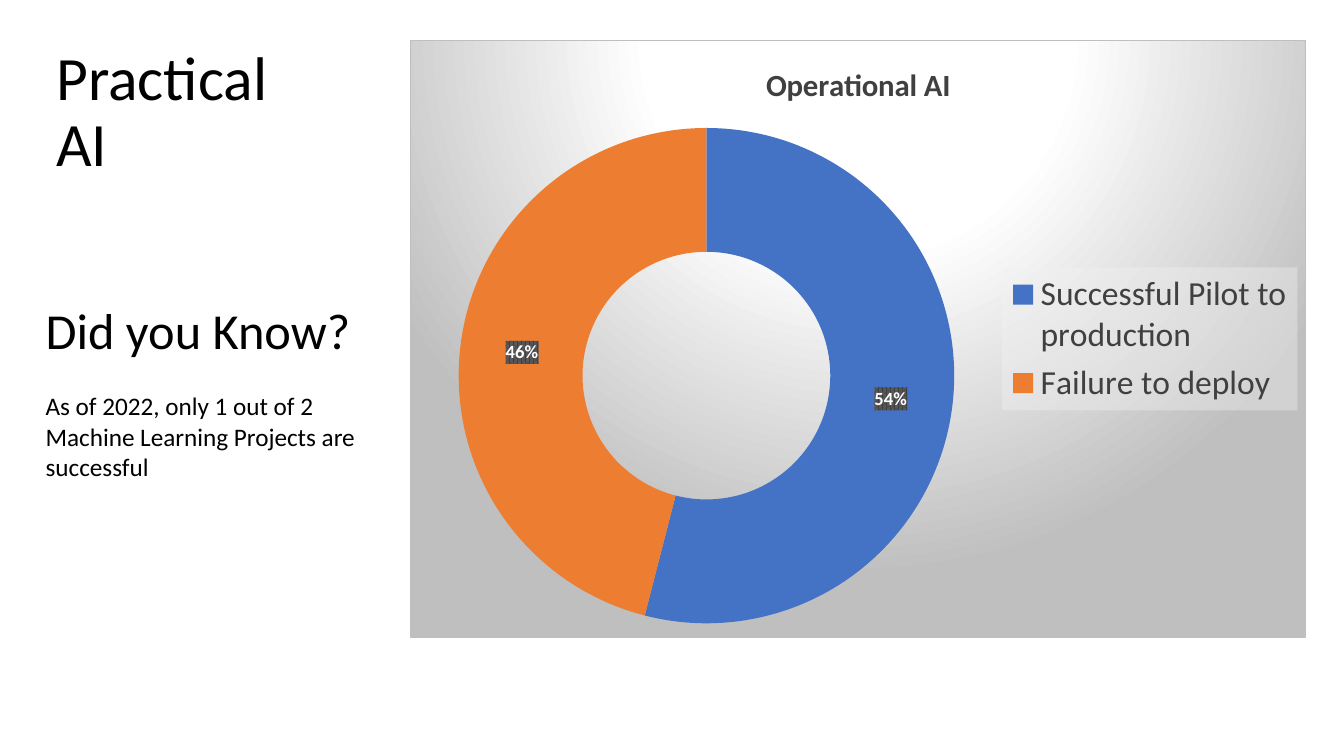
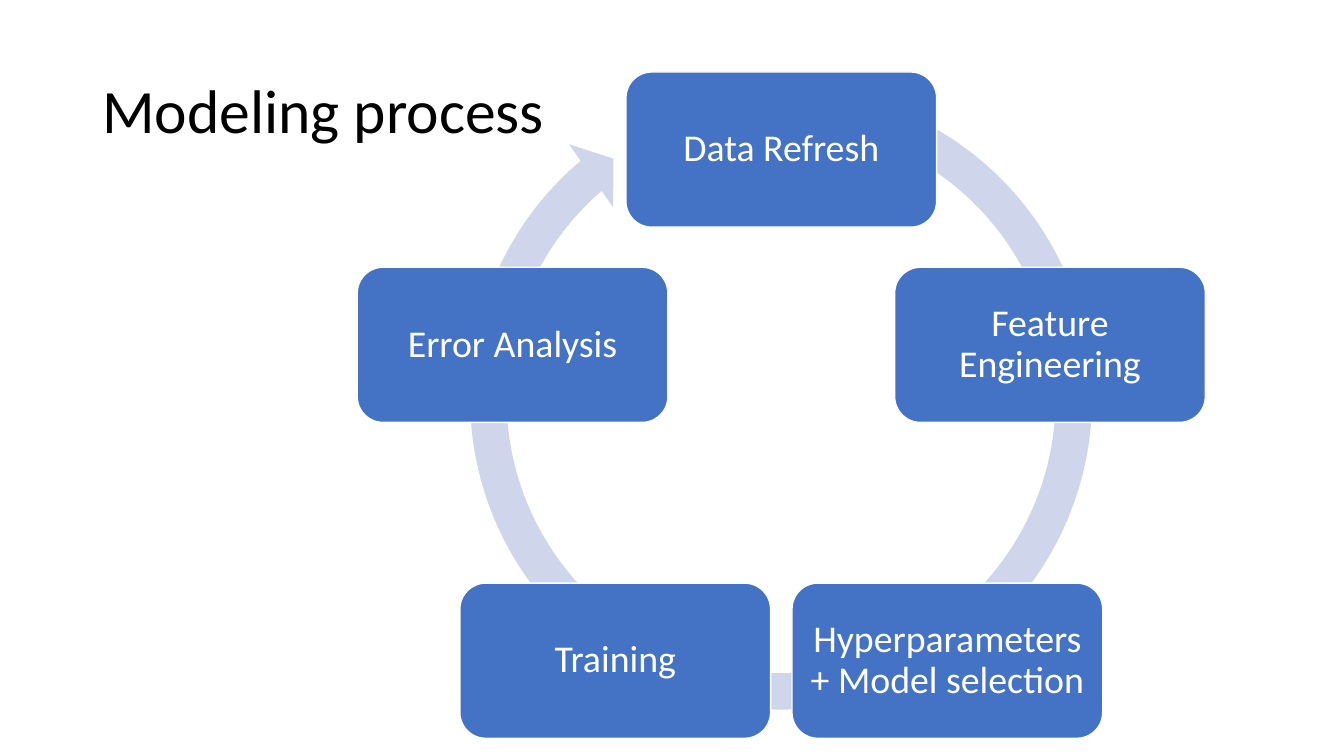
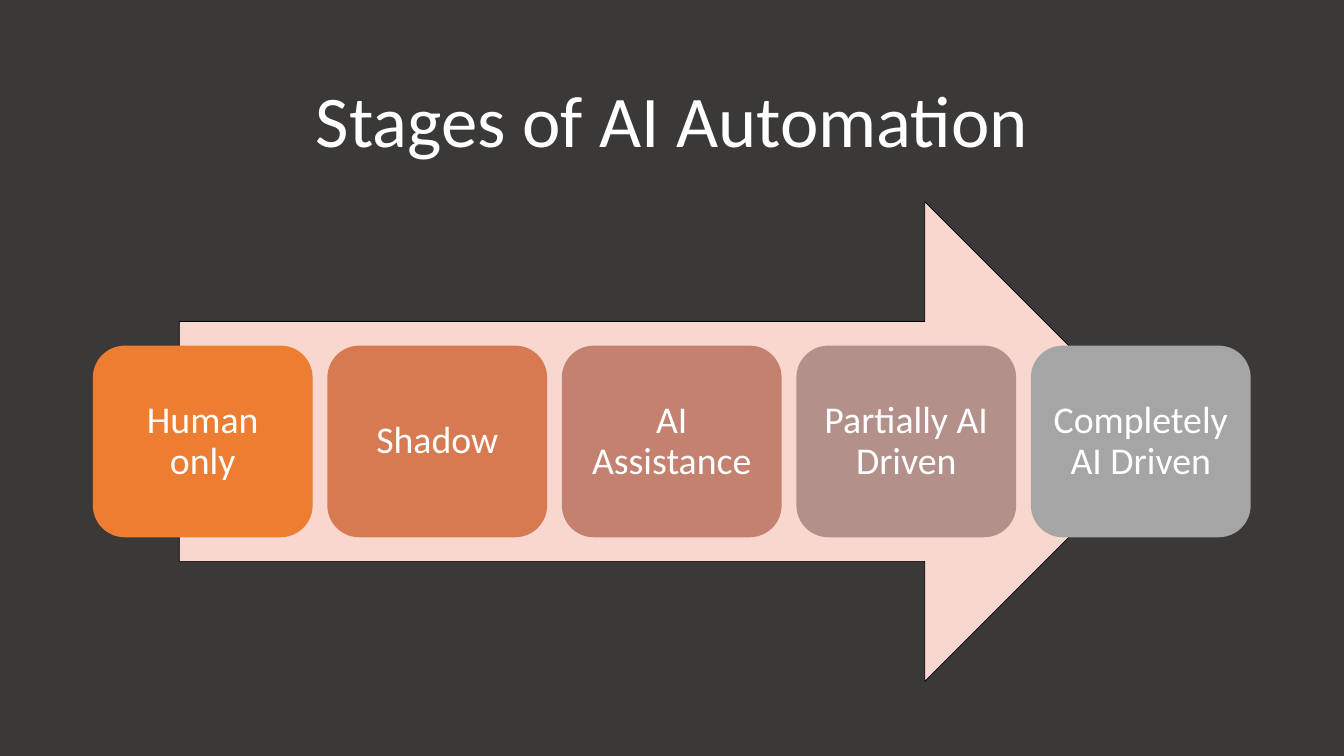
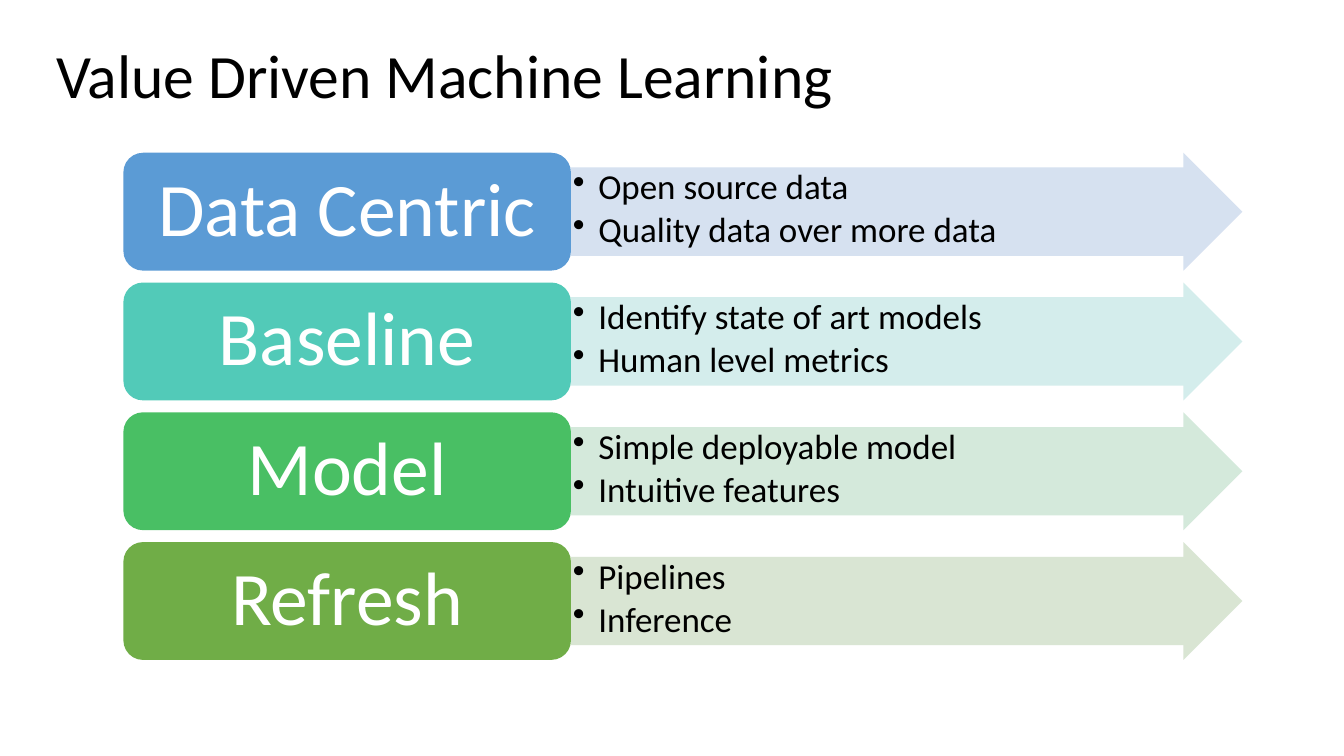
from math import cos, pi, sin

from pptx import Presentation
from pptx.chart.data import CategoryChartData as ChartData
from pptx.dml.color import RGBColor as RGB
from pptx.enum.chart import XL_CHART_TYPE as Kind, XL_LEGEND_POSITION as Side
from pptx.enum.shapes import MSO_SHAPE as Form
from pptx.enum.text import MSO_ANCHOR as Anchor, PP_ALIGN as Align
from pptx.oxml import parse_xml
from pptx.oxml.ns import nsdecls, qn
from pptx.util import Cm, Pt

BLACK = RGB(0x00, 0x00, 0x00)
WHITE = RGB(0xFF, 0xFF, 0xFF)
DARK = RGB(0x3B, 0x38, 0x38)
INK = RGB(0x40, 0x40, 0x40)
SILVER = RGB(0xBF, 0xBF, 0xBF)
SLATE = RGB(0x59, 0x59, 0x59)
PALE = RGB(0xF2, 0xF2, 0xF2)
BLUE = RGB(0x44, 0x72, 0xC4)
ORANGE = RGB(0xED, 0x7D, 0x31)
RING = RGB(0xCF, 0xD5, 0xEA)
PINK = RGB(0xF8, 0xD7, 0xCE)
RUST = RGB(0xD8, 0x7A, 0x51)
ROSE = RGB(0xC4, 0x81, 0x70)
MAUVE = RGB(0xB4, 0x90, 0x8B)
GRAY = RGB(0xA5, 0xA5, 0xA5)
SKY = RGB(0x5B, 0x9B, 0xD5)
TEAL = RGB(0x52, 0xCA, 0xB8)
GREEN = RGB(0x49, 0xBF, 0x64)
OLIVE = RGB(0x70, 0xAD, 0x47)
SKY_TINT = RGB(0xD2, 0xDE, 0xEF)
TEAL_TINT = RGB(0xD0, 0xEC, 0xEA)
GREEN_TINT = RGB(0xD0, 0xE7, 0xD8)
OLIVE_TINT = RGB(0xD5, 0xE3, 0xCF)

FONT = "Calibri"
LABEL = {"alignment": Align.CENTER, "line_spacing": 0.9}
POINT = {"alignment": Align.LEFT, "line_spacing": 0.9,
         "space_after": Pt(3.75)}
PAD = 0.28


def put(target, values):
    for name, value in values.items():
        setattr(target, name, value)


def ink(font, size, color, bold=False):
    put(font, {"name": FONT, "size": Pt(size), "bold": bold})
    font.color.rgb = color


def add_page(deck, back=WHITE):
    page = deck.slides.add_slide(deck.slide_layouts[6])
    page.background.fill.solid()
    page.background.fill.fore_color.rgb = back
    return page


def set_frame(shape, anchor, pads=None):
    """Wrap the text; pads are the side and the top/bottom margins in cm."""
    frame = shape.text_frame
    put(frame, {"word_wrap": True, "vertical_anchor": anchor})
    if pads:
        side, end = map(Cm, pads)
        put(frame, {"margin_left": side, "margin_right": side,
                    "margin_top": end, "margin_bottom": end})
    return frame


def write(para, text, size, color, style):
    put(para, style)
    run = para.add_run()
    run.text = text
    ink(run.font, size, color)


def add_text(page, box, anchor=Anchor.TOP):
    return set_frame(page.shapes.add_textbox(*map(Cm, box)), anchor)


def add_title(page, text, box, size=44, color=BLACK, align=Align.LEFT):
    frame = add_text(page, box, Anchor.MIDDLE)
    write(frame.paragraphs[0], text, size, color,
          {"alignment": align, "line_spacing": 0.9})


def add_form(page, form, box, fill, line=None, width=1):
    shape = page.shapes.add_shape(form, *map(Cm, box))
    shape.shadow.inherit = False
    shape.fill.solid()
    shape.fill.fore_color.rgb = fill
    if line is None:
        shape.line.fill.background()
    else:
        shape.line.color.rgb = line
        shape.line.width = Pt(width)
    return shape


def add_card(page, text, box, fill, size=27, side=PAD, line=None):
    card = add_form(page, Form.ROUNDED_RECTANGLE, box, fill, line)
    frame = set_frame(card, Anchor.MIDDLE, (side, PAD))
    write(frame.paragraphs[0], text, size, WHITE, LABEL)


def add_points(page, items, box, fill):
    """Draw a see-through arrow that holds a bullet list."""
    arrow = add_form(page, Form.RIGHT_ARROW, box, fill)
    arrow.adjustments[0] = 0.75
    tint = arrow._element.spPr.find(qn("a:solidFill"))[0]
    tint.append(parse_xml(f'<a:alpha {nsdecls("a")} val="90000"/>'))
    frame = set_frame(arrow, Anchor.TOP, (0.05, 0.05))
    for i, item in enumerate(items):
        para = frame.add_paragraph() if i else frame.paragraphs[0]
        props = para._p.get_or_add_pPr()
        props.set("marL", str(Cm(0.64)))
        props.set("indent", str(-Cm(0.64)))
        props.append(parse_xml(f'<a:buChar {nsdecls("a")} char="•"/>'))
        write(para, item, 25, BLACK, POINT)


def paint(part, fill):
    """Give a chart part the fill, placed ahead of its text settings."""
    part._element.find(qn("c:txPr")).addprevious(
        parse_xml(f'<c:spPr {nsdecls("c", "a")}>{fill}</c:spPr>'))


def add_ring(page, title, data, colors, box):
    source = ChartData(number_format="General")
    source.categories = list(data)
    source.add_series(title, list(data.values()))
    chart = page.shapes.add_chart(
        Kind.DOUGHNUT, *map(Cm, box), source).chart
    ink(chart.font, 10, BLACK)
    head = chart.chart_title.text_frame.paragraphs[0]
    write(head, title, 22, INK, {})
    head.runs[0].font.bold = True
    chart.chart_title.include_in_layout = False

    chart.has_legend = True
    key = chart.legend
    put(key, {"position": Side.RIGHT, "include_in_layout": False})
    ink(key.font, 24, INK)

    plot = chart.plots[0]
    put(plot, {"vary_by_categories": True, "has_data_labels": True})
    tags = plot.data_labels
    put(tags, {"show_percentage": True, "show_value": False,
               "number_format": "0%", "number_format_is_linked": False})
    ink(tags.font, 13.3, WHITE, True)
    for i, color in enumerate(colors):
        part = plot.series[0].points[i].format
        part.fill.solid()
        part.fill.fore_color.rgb = color
        part.line.fill.background()

    stops = "".join(
        f'<a:gs pos="{pos}000"><a:srgbClr val="{color}"/></a:gs>'
        for pos, color in ((0, WHITE), (39, WHITE), (100, SILVER)))
    paint(chart, f'<a:gradFill><a:gsLst>{stops}</a:gsLst>'
          '<a:path path="circle"><a:fillToRect l="50000" t="-80000" '
          'r="50000" b="180000"/></a:path></a:gradFill>'
          f'<a:ln w="{Pt(0.75)}"><a:solidFill><a:srgbClr val="{SILVER}"/>'
          '</a:solidFill></a:ln>')
    paint(key, f'<a:solidFill><a:srgbClr val="{PALE}">'
          '<a:alpha val="39000"/></a:srgbClr></a:solidFill>')
    paint(tags, '<a:pattFill prst="pct75">'
          f'<a:fgClr><a:srgbClr val="{INK}"/></a:fgClr>'
          f'<a:bgClr><a:srgbClr val="{SLATE}"/></a:bgClr></a:pattFill>')


def show_facts(deck):
    page = add_page(deck)
    add_title(page, "Practical AI", (1.17, 1.02, 7.06, 3.68))
    add_ring(page, "Operational AI",
             {"Successful Pilot to production": 54, "Failure to deploy": 46},
             (BLUE, ORANGE), (10.34, 1.01, 22.58, 15.06))
    frame = add_text(page, (0.9, 7.42, 8.33, 4.88))
    write(frame.paragraphs[0], "Did you Know?", 36, BLACK, {})
    write(frame.add_paragraph(),
          "As of 2022, only 1 out of 2 Machine Learning Projects are "
          "successful", 18, BLACK, {"space_before": Pt(22)})


def show_cycle(deck):
    page = add_page(deck)
    add_title(page, "Modeling process", (2.33, 1.02, 29.21, 3.68))
    loop = add_form(page, Form.CIRCULAR_ARROW,
                    (11.34, 1.7, 16.69, 16.69), RING)
    for i, share in enumerate((5.5, 330.7, 13772.8, 17387.8, 5.8)):
        loop.adjustments[i] = share / 100
    steps = ("Data Refresh", "Feature Engineering",
             "Hyperparameters + Model selection", "Training",
             "Error Analysis")
    mid, hub, reach, wide, high = 19.69, 10.89, 7.12, 7.83, 3.91
    for i, step in enumerate(steps):
        turn = 2 * pi * i / len(steps)
        left = mid + reach * sin(turn) - wide / 2
        top = hub - reach * cos(turn) - high / 2
        add_card(page, step, (left, top, wide, high), BLUE, line=WHITE)


def show_stages(deck):
    page = add_page(deck, DARK)
    add_title(page, "Stages of AI Automation", (2.33, 1.55, 29.21, 3.15),
              52, WHITE, Align.CENTER)
    add_form(page, Form.RIGHT_ARROW, (4.52, 5.08, 24.83, 12.09), PINK,
             BLACK, 0.5)
    stages = (("Human only", ORANGE), ("Shadow", RUST),
              ("AI Assistance", ROSE), ("Partially AI Driven", MAUVE),
              ("Completely AI Driven", GRAY))
    for i, (stage, color) in enumerate(stages):
        add_card(page, stage, (2.34 + 5.91 * i, 8.71, 5.54, 4.83), color)


def show_values(deck):
    page = add_page(deck)
    add_title(page, "Value Driven Machine Learning",
              (1.17, 0.13, 29.21, 3.68))
    rows = (
        ("Data Centric", SKY, SKY_TINT,
         ("Open source data", "Quality data over more data")),
        ("Baseline", TEAL, TEAL_TINT,
         ("Identify state of art models", "Human level metrics")),
        ("Model", GREEN, GREEN_TINT,
         ("Simple deployable model", "Intuitive features")),
        ("Refresh", OLIVE, OLIVE_TINT, ("Pipelines", "Inference")),
    )
    left, wide, high = 3.11, 11.28, 2.97
    for i, (name, color, tint, items) in enumerate(rows):
        top = 3.85 + 3.27 * i
        add_points(page, items, (left + wide, top, 16.92, high), tint)
        add_card(page, name, (left, top, wide, high), color, 54, 0.58)


def main():
    deck = Presentation()
    put(deck, {"slide_width": Cm(33.87), "slide_height": Cm(19.05)})
    for show in (show_facts, show_cycle, show_stages, show_values):
        show(deck)
    deck.save("out.pptx")


if __name__ == "__main__":
    main()
